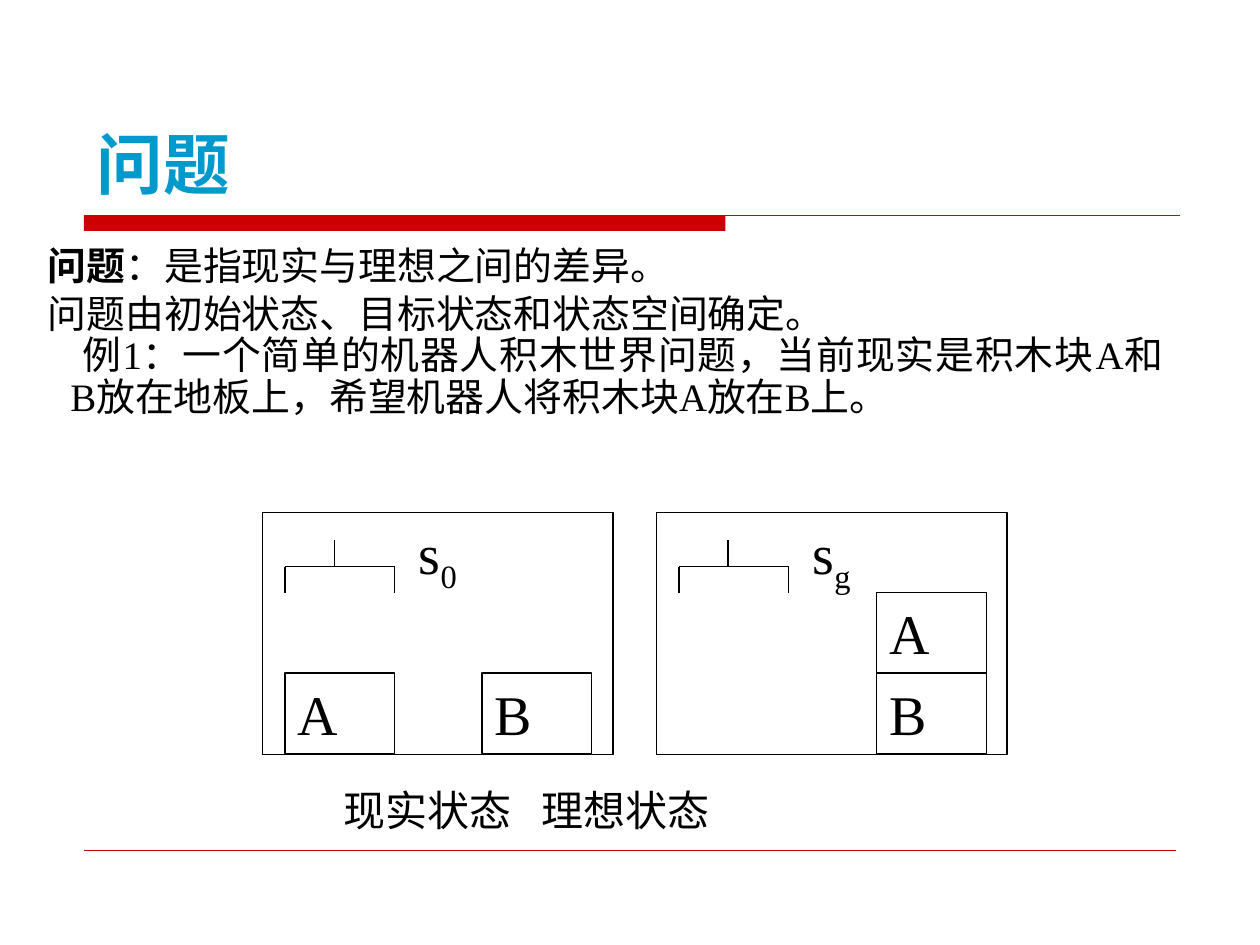
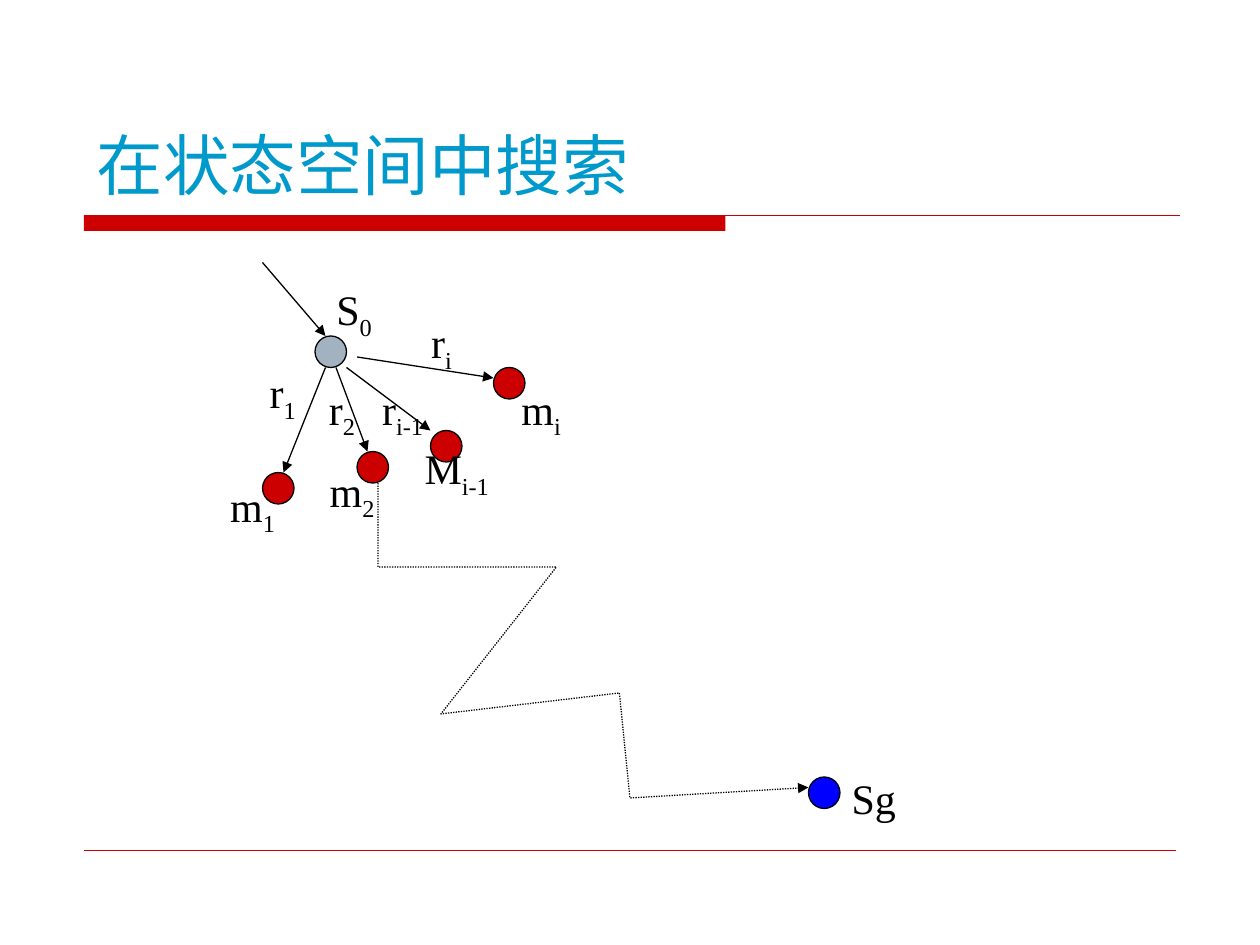
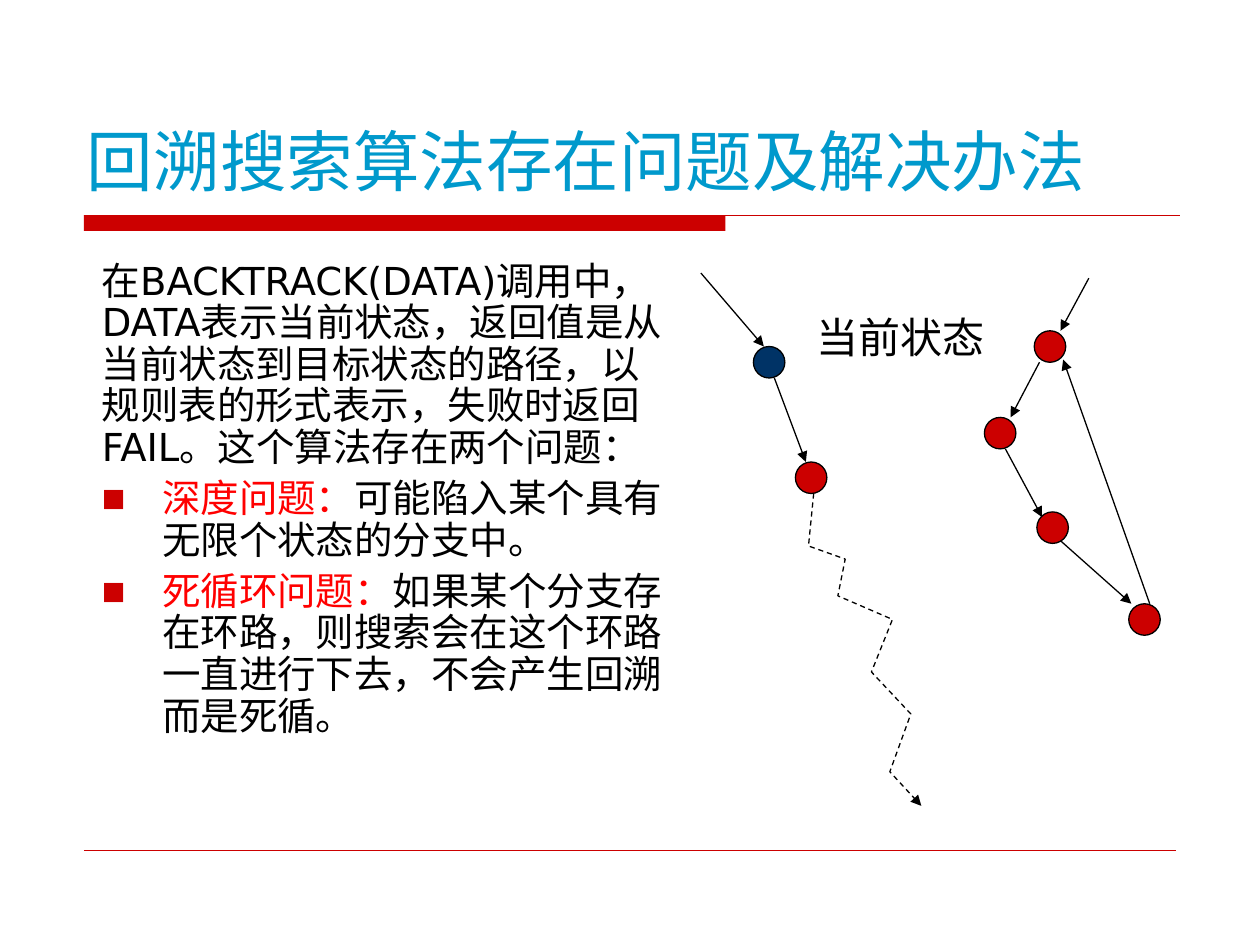
from dataclasses import dataclass
from typing import Optional

from lxml import etree
from pptx import Presentation
from pptx.dml.color import RGBColor
from pptx.enum.dml import MSO_LINE
from pptx.enum.shapes import MSO_CONNECTOR, MSO_SHAPE
from pptx.enum.text import MSO_ANCHOR, MSO_AUTO_SIZE, PP_ALIGN
from pptx.oxml.ns import qn
from pptx.util import Emu, Inches, Pt

WIDTH, HEIGHT = Inches(10), Inches(7.5)
COLUMNS, ROWS = 120, 90

BLACK = RGBColor(0x00, 0x00, 0x00)
WHITE = RGBColor(0xFF, 0xFF, 0xFF)
BAND_RED = RGBColor(0xCC, 0x00, 0x00)
TITLE_BLUE = RGBColor(0x00, 0x99, 0xCC)
KEYWORD_RED = RGBColor(0xFF, 0x00, 0x00)
START_GREY = RGBColor(0xA3, 0xB2, 0xC1)
GOAL_BLUE = RGBColor(0x00, 0x00, 0xFF)
NAVY = RGBColor(0x00, 0x33, 0x66)

SANS, SERIF = "DejaVu Sans", "Times New Roman"
RECTANGLE, OVAL = MSO_SHAPE.RECTANGLE, MSO_SHAPE.OVAL
STRAIGHT = MSO_CONNECTOR.STRAIGHT
LEFT, CENTER, JUSTIFY = PP_ALIGN.LEFT, PP_ALIGN.CENTER, PP_ALIGN.JUSTIFY
TOP, MIDDLE, BOTTOM = MSO_ANCHOR.TOP, MSO_ANCHOR.MIDDLE, MSO_ANCHOR.BOTTOM
NO_FIT = MSO_AUTO_SIZE.NONE
DOTTED, DASHED = MSO_LINE.ROUND_DOT, MSO_LINE.DASH

NODE_SIZE = 3
SCENE_SIZE = (33.4, 23.04)
BLOCK_SIZE = (10.44, 7.68)
FLOOR = 15.3

Point = tuple[float, float]
Box = tuple[float, float, float, float]


@dataclass(frozen=True)
class Run:
    text: str
    color: RGBColor = BLACK
    font: str = SANS
    bold: bool = False


@dataclass(frozen=True)
class BodyParagraph:
    runs: list[Run]
    margin: float
    first_line: float = 0
    spacing: float = 0.9
    before: float = 0
    alignment: PP_ALIGN = LEFT
    bullet: bool = False


@dataclass(frozen=True)
class Label:
    text: str
    box: Box
    subscript: str = ""


@dataclass(frozen=True)
class Node:
    left: float
    top: float
    color: RGBColor = BAND_RED


@dataclass(frozen=True)
class Arrow:
    start: Point
    end: Point


@dataclass(frozen=True)
class Block:
    name: str
    left: float
    top: float


@dataclass(frozen=True)
class Scene:
    left: float
    subscript: str
    blocks: list[Block]
    top: float = 48.8


def column(count: float) -> Emu:
    return Emu(round(count * WIDTH / COLUMNS))


def row(count: float) -> Emu:
    return Emu(round(count * HEIGHT / ROWS))


def place(box: Box) -> tuple[Emu, Emu, Emu, Emu]:
    left, top, width, height = box
    return column(left), row(top), column(width), row(height)


def add_text(paragraph, text: str, *, size: float, font: str = SERIF, color: RGBColor = BLACK,
             bold: bool = False, subscript: bool = False) -> None:
    run = paragraph.add_run()
    run.text = text
    run.font.size = Pt(size)
    run.font.name = font
    run.font.bold = bold
    run.font.color.rgb = color
    if subscript:
        run.font._element.set("baseline", "-25000")


def set_indent(paragraph, margin: float, first_line: float):
    properties = paragraph._p.get_or_add_pPr()
    properties.set("marL", str(column(margin)))
    properties.set("indent", str(column(first_line)))
    return properties


def add_child(parent, tag: str, **attributes: str):
    return etree.SubElement(parent, qn(tag), attributes)


def style_line(shape, color: RGBColor = BLACK, width: float = 0.75, dash: Optional[MSO_LINE] = None,
               arrow: bool = False) -> None:
    shape.line.color.rgb = color
    shape.line.width = Pt(width)
    if dash is not None:
        shape.line.dash_style = dash
    if arrow:
        add_child(shape.element.spPr.find(qn("a:ln")), "a:tailEnd", type="triangle")


def add_line(slide, start: Point, end: Point, **style):
    connector = slide.shapes.add_connector(
        STRAIGHT, column(start[0]), row(start[1]), column(end[0]), row(end[1]))
    style_line(connector, **style)
    add_child(connector.element.spPr, "a:effectLst")
    return connector


def add_shape(slide, kind: MSO_SHAPE, box: Box, fill: RGBColor, line: Optional[RGBColor] = BLACK):
    shape = slide.shapes.add_shape(kind, *place(box))
    shape.shadow.inherit = False
    shape.fill.solid()
    shape.fill.fore_color.rgb = fill
    if line is None:
        shape.line.fill.background()
    else:
        style_line(shape, line)
    shape.text_frame.vertical_anchor = TOP
    return shape


def add_zigzag(slide, points: list[Point], dash: MSO_LINE) -> None:
    corners = [(column(x), row(y)) for x, y in points]
    builder = slide.shapes.build_freeform(*corners[0], scale=1.0)
    builder.add_line_segments(corners[1:], close=False)
    shape = builder.convert_to_shape()
    shape.shadow.inherit = False
    shape.fill.background()
    style_line(shape, dash=dash, arrow=True)


def add_label(slide, label: Label) -> None:
    frame = slide.shapes.add_textbox(*place(label.box)).text_frame
    frame.word_wrap = False
    frame.vertical_anchor = MIDDLE
    paragraph = frame.paragraphs[0]
    paragraph.alignment = CENTER
    add_text(paragraph, label.text, size=24)
    if label.subscript:
        add_text(paragraph, label.subscript, size=24, subscript=True)


def add_graph(slide, nodes: list[Node], arrows: list[Arrow], labels: list[Label]) -> None:
    for node in nodes:
        add_shape(slide, OVAL, (node.left, node.top, NODE_SIZE, NODE_SIZE), node.color)
    for arrow in arrows:
        add_line(slide, arrow.start, arrow.end, arrow=True)
    for label in labels:
        add_label(slide, label)


def add_body(slide, box: Box, size: float, paragraphs: list[BodyParagraph]) -> None:
    frame = slide.shapes.add_textbox(*place(box)).text_frame
    frame.word_wrap = True
    for index, item in enumerate(paragraphs):
        paragraph = frame.add_paragraph() if index else frame.paragraphs[0]
        paragraph.alignment = item.alignment
        paragraph.line_spacing = item.spacing
        paragraph.space_before = Pt(item.before)
        properties = set_indent(paragraph, item.margin, item.first_line)
        if item.bullet:
            add_child(add_child(properties, "a:buClr"), "a:srgbClr", val=str(BAND_RED))
            add_child(properties, "a:buSzPct", val="65000")
            add_child(properties, "a:buFont", typeface=SANS)
            add_child(properties, "a:buChar", char="■")
        for run in item.runs:
            add_text(paragraph, run.text, size=size, font=run.font, color=run.color, bold=run.bold)


def add_titled_slide(presentation, layout, title: str, box: Box, bold: bool = False):
    slide = presentation.slides.add_slide(layout)
    placeholder = slide.shapes.title
    placeholder.left, placeholder.top, placeholder.width, placeholder.height = place(box)
    frame = placeholder.text_frame
    frame.auto_size = NO_FIT
    frame.vertical_anchor = BOTTOM
    frame.paragraphs[0].alignment = LEFT
    add_text(frame.paragraphs[0], title, size=38, font=SANS, color=TITLE_BLUE, bold=bold)
    return slide


def move_bands_to_layout(slide, layout) -> None:
    bands = [
        add_shape(slide, RECTANGLE, (8, 20.5, 61.1, 1.5), BAND_RED, None),
        add_line(slide, (8, 20.5), (112.4, 20.5), color=BAND_RED),
        add_line(slide, (8, 81), (112, 81), color=BAND_RED, width=0.25),
    ]
    for band in bands:
        layout.shapes.element.append(band.element)


def add_scene(slide, scene: Scene) -> None:
    frame = add_shape(slide, RECTANGLE, (scene.left, scene.top, *SCENE_SIZE), WHITE).text_frame
    paragraph = frame.paragraphs[0]
    paragraph.alignment = CENTER
    add_text(paragraph, "s", size=32)
    add_text(paragraph, scene.subscript, size=32, subscript=True)
    for block in scene.blocks:
        box = (scene.left + block.left, scene.top + block.top, *BLOCK_SIZE)
        paragraph = add_shape(slide, RECTANGLE, box, WHITE).text_frame.paragraphs[0]
        paragraph.alignment = JUSTIFY
        add_text(paragraph, block.name, size=32)
    left, right = scene.left + 2.16, scene.left + 12.6
    stem, bar = scene.left + 6.84, scene.top + 5.16
    add_line(slide, (left, bar), (right, bar))
    add_line(slide, (stem, bar - 2.52), (stem, bar))
    for finger in (left, right):
        add_line(slide, (finger, bar), (finger, bar + 2.52))


def fill_problem_slide(slide) -> None:
    add_body(slide, (-1.44, 23.28, 113.4, 20.76), 22.2, [
        BodyParagraph([Run("问题", bold=True), Run("：是指现实与理想之间的差异。")],
                      6.96, -2.16, spacing=0.8),
        BodyParagraph([Run("问题由初始状态、目标状态和状态空间确定。")],
                      6.96, -2.16, spacing=0.8, before=6),
        BodyParagraph([Run("例1：一个简单的机器人积木世界问题，当前现实是积木块A和B放在地板上，"
                           "希望机器人将积木块A放在B上。", font=SERIF)],
                      6.96, 1.2, alignment=JUSTIFY),
    ])
    caption = add_shape(slide, RECTANGLE, (26.4, 74.16, 68, 5.76), WHITE, WHITE)
    paragraph = caption.text_frame.paragraphs[0]
    paragraph.alignment = LEFT
    tabs = add_child(set_indent(paragraph, 0, 5.16), "a:tabLst")
    add_child(tabs, "a:tab", pos=str(column(38.16)), algn="l")
    add_text(paragraph, "现实状态\t理想状态", size=24)
    add_scene(slide, Scene(25, "0", [Block("A", 2.16, FLOOR), Block("B", 20.9, FLOOR)]))
    add_scene(slide, Scene(62.5, "g", [Block("A", 21, FLOOR - BLOCK_SIZE[1]),
                                       Block("B", 21, FLOOR)]))


def fill_search_slide(slide) -> None:
    add_zigzag(slide, [(36, 46), (36, 54), (53, 54), (42, 68), (59, 66), (60, 76), (77, 75)], DOTTED)
    add_graph(
        slide,
        [Node(30, 32, START_GREY), Node(34, 43), Node(77, 74, GOAL_BLUE),
         Node(41, 41), Node(25, 45), Node(47, 35)],
        [Arrow((25, 25), (31, 32)), Arrow((31, 35), (27, 45)), Arrow((32, 35), (35, 43)),
         Arrow((33, 35), (41, 41)), Arrow((34, 34), (47, 36))],
        [Label("S", (30.84, 26.4, 5.76, 6.72), "0"),
         Label("Sg", (79.92, 72.96, 6.6, 6)),
         Label("m", (20.28, 45.12, 7.56, 6.72), "1"),
         Label("m", (29.76, 43.68, 7.56, 6.72), "2"),
         Label("M", (38.28, 41.52, 10.44, 6.72), "i-1"),
         Label("m", (47.76, 35.88, 7.56, 6.72), "i"),
         Label("r", (23.16, 34.32, 7.56, 6.72), "1"),
         Label("r", (28.8, 35.88, 7.56, 6.72), "2"),
         Label("r", (33.6, 35.88, 9.48, 6.72), "i-1"),
         Label("r", (38.28, 29.52, 7.56, 6.72), "i")])


def fill_backtrack_slide(slide) -> None:
    problems = [
        ("深度问题：", "可能陷入某个具有无限个状态的分支中。"),
        ("死循环问题：", "如果某个分支存在环路，则搜索会在这个环路一直进行下去，不会产生回溯而是死循。"),
    ]
    add_body(slide, (2.4, 24.36, 63.12, 50.76), 22, [
        BodyParagraph([Run("在BACKTRACK(DATA)调用中，DATA表示当前状态，返回值是从当前状态到目标状态的路径，"
                           "以规则表的形式表示，失败时返回FAIL。这个算法存在两个问题：")], 6.12),
        *(BodyParagraph([Run(name, KEYWORD_RED), Run(detail)], 11.88, -5.76, before=5.5, bullet=True)
          for name, detail in problems),
    ])
    add_graph(
        slide,
        [Node(71.75, 33, NAVY), Node(75.75, 44)],
        [Arrow((66.75, 26), (72.75, 33)), Arrow((73.75, 36), (76.75, 44))],
        [Label("当前状态", (76.56, 29.04, 18.36, 6))])
    add_zigzag(slide, [(77.5, 47), (77, 52), (80.5, 53.25), (79.8, 56.75), (85, 59),
                       (83, 64), (86.75, 68), (84.75, 73.5), (87.75, 76.75)], DASHED)
    add_graph(
        slide,
        [Node(98.5, 31.5), Node(93.75, 39.75), Node(98.75, 48.75), Node(107.5, 57.5)],
        [Arrow((103.7, 26.5), (101, 31.5)), Arrow((99, 34.5), (96.25, 39.75)),
         Arrow((95.75, 42.75), (99.25, 49.25)), Arrow((101, 51.5), (107.75, 57.5)),
         Arrow((109.5, 57.5), (101.25, 34.25))],
        [])


def main() -> None:
    presentation = Presentation()
    presentation.slide_width, presentation.slide_height = WIDTH, HEIGHT
    layout = presentation.slide_layouts.get_by_name("Title Only")

    problem = add_titled_slide(presentation, layout, "问题", (8, 10.92, 102, 9), bold=True)
    move_bands_to_layout(problem, layout)
    fill_problem_slide(problem)

    search = add_titled_slide(presentation, layout, "在状态空间中搜索", (8, 10.08, 102, 9.96))
    fill_search_slide(search)

    backtrack = add_titled_slide(presentation, layout, "回溯搜索算法存在问题及解决办法",
                                 (7.08, 10.92, 104.88, 8.76))
    fill_backtrack_slide(backtrack)

    presentation.save("out.pptx")


if __name__ == "__main__":
    main()
